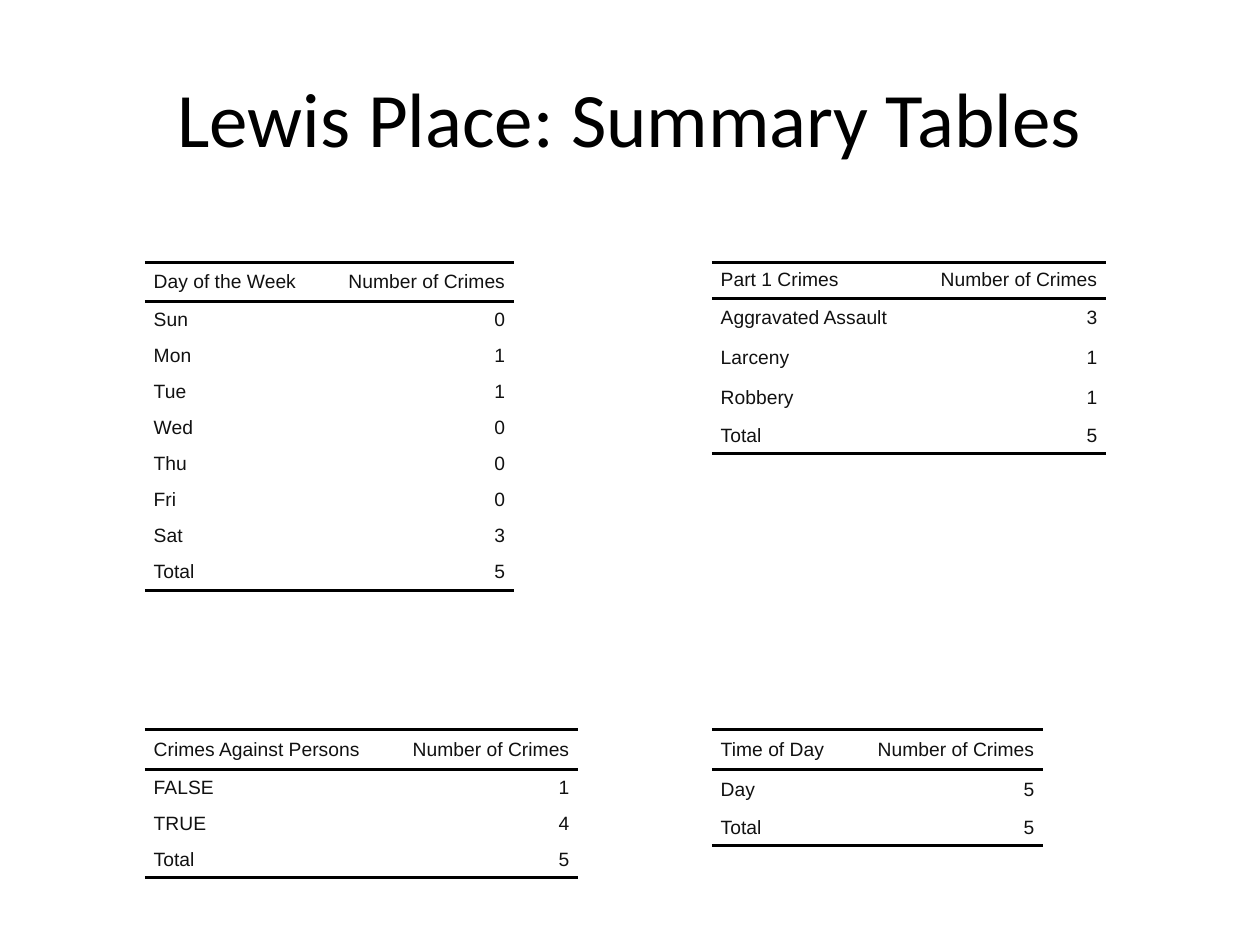
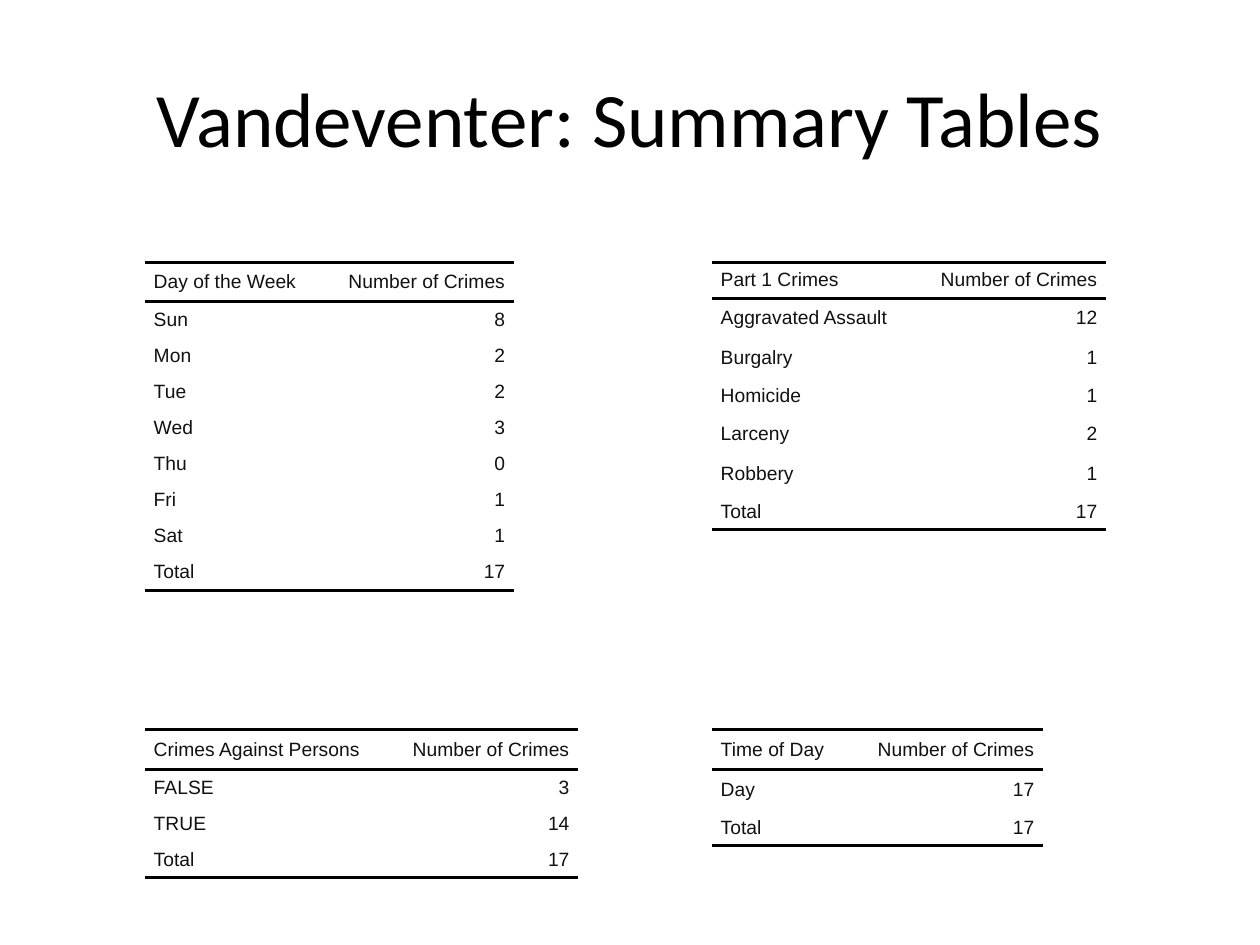
from dataclasses import dataclass

from lxml import etree
from pptx import Presentation
from pptx.dml.color import RGBColor
from pptx.enum.text import MSO_ANCHOR, PP_ALIGN
from pptx.oxml.ns import qn
from pptx.util import Inches, Pt

LEFT, CENTER, RIGHT = PP_ALIGN.LEFT, PP_ALIGN.CENTER, PP_ALIGN.RIGHT
MIDDLE = MSO_ANCHOR.MIDDLE
TITLE_ONLY_LAYOUT = 5
PLAIN_TABLE_STYLE = "{2D5ABB26-0587-4C30-8999-92F81FD0307C}"


@dataclass(frozen=True)
class Theme:
    title_font: str = "Calibri"
    title_size: int = 44
    title_color: str = "000000"
    table_font: str = "Arial"
    table_size: int = 11
    table_color: str = "111111"
    rule_color: str = "000000"
    rule_width: int = 2
    paragraph_gap: int = 2


THEME = Theme()

# Table positions and column widths in inches, row heights in points
GRID_LEFT, GRID_TOP = 1.15, 2.08
GRID_COLUMN_STEP, GRID_ROW_STEP = 4.5, 3.71
COUNT_WIDTH = 1.52
CELL_INDENT = 0.07
ROW_HEIGHTS = {"T": 22.8, "S": 20.6}  # tall and short rows


@dataclass(frozen=True)
class Category:
    """Heading, grid cell and label width of one kind of summary table."""
    heading: str
    column: int
    row: int
    label_width: float


PART_1 = Category("Part 1 Crimes", 1, 0, 1.61)
WEEKDAY = Category("Day of the Week", 0, 0, 1.41)
PERSONS = Category("Crimes Against Persons", 0, 1, 1.92)
TIME_OF_DAY = Category("Time of Day", 1, 1, 1.11)

DAYS = ("Sun", "Mon", "Tue", "Wed", "Thu", "Fri", "Sat")
WEEKDAY_ROWS, PERSONS_ROWS, TIME_ROWS = "TSSSSSSSS", "TSSS", "TTS"

# Neighbourhood: (category, row heights, crime counts)
NEIGHBOURHOODS = {
    "Lewis Place": (
        (PART_1, "STTTS", {"Aggravated Assault": 3, "Larceny": 1, "Robbery": 1}),
        (WEEKDAY, WEEKDAY_ROWS, dict(zip(DAYS, (0, 1, 1, 0, 0, 0, 3)))),
        (PERSONS, PERSONS_ROWS, {"FALSE": 1, "TRUE": 4}),
        (TIME_OF_DAY, TIME_ROWS, {"Day": 5}),
    ),
    "Vandeventer": (
        (PART_1, "STTSTTS", {"Aggravated Assault": 12, "Burgalry": 1, "Homicide": 1,
                             "Larceny": 2, "Robbery": 1}),
        (WEEKDAY, WEEKDAY_ROWS, dict(zip(DAYS, (8, 2, 2, 3, 0, 1, 1)))),
        (PERSONS, PERSONS_ROWS, {"FALSE": 3, "TRUE": 14}),
        (TIME_OF_DAY, TIME_ROWS, {"Day": 17}),
    ),
}


def format_runs(paragraph, font_name, size, color):
    for run in paragraph.runs:
        run.font.name = font_name
        run.font.size = Pt(size)
        run.font.color.rgb = RGBColor.from_string(color)


def add_title(slide, text):
    text_frame = slide.shapes.title.text_frame
    text_frame.text = text
    text_frame.vertical_anchor = MIDDLE
    paragraph = text_frame.paragraphs[0]
    paragraph.alignment = CENTER
    format_runs(paragraph, THEME.title_font, THEME.title_size, THEME.title_color)


def add_rule(cell, edge):
    """Draw a horizontal line on the cell's edge, "lnT" or "lnB"."""
    line = etree.SubElement(cell._tc.get_or_add_tcPr(), qn(f"a:{edge}"),
                            w=str(Pt(THEME.rule_width)))
    fill = etree.SubElement(line, qn("a:solidFill"))
    etree.SubElement(fill, qn("a:srgbClr"), val=THEME.rule_color)


def fill_cell(cell, text, alignment, edges):
    for edge in edges:
        add_rule(cell, edge)
    cell.fill.background()
    cell.vertical_anchor = MIDDLE
    cell.margin_left = cell.margin_right = cell.margin_top = cell.margin_bottom = 0
    cell.text_frame.text = text
    paragraph = cell.text_frame.paragraphs[0]
    paragraph.alignment = alignment
    paragraph.space_before = paragraph.space_after = Pt(THEME.paragraph_gap)
    properties = paragraph._p.get_or_add_pPr()
    for side in ("marL", "marR"):
        properties.set(side, str(Inches(CELL_INDENT)))
    properties.set("indent", "0")
    format_runs(paragraph, THEME.table_font, THEME.table_size, THEME.table_color)


def add_summary_table(slide, category, row_pattern, counts):
    rows = [(category.heading, "Number of Crimes"), *counts.items(),
            ("Total", sum(counts.values()))]
    widths = [Inches(category.label_width), Inches(COUNT_WIDTH)]
    heights = [Pt(ROW_HEIGHTS[kind]) for kind in row_pattern]
    table = slide.shapes.add_table(
        len(rows), len(widths),
        Inches(GRID_LEFT + category.column * GRID_COLUMN_STEP),
        Inches(GRID_TOP + category.row * GRID_ROW_STEP),
        sum(widths), sum(heights)).table
    table.first_row = table.horz_banding = False
    table._tbl.tblPr.find(qn("a:tableStyleId")).text = PLAIN_TABLE_STYLE
    for column, width in zip(table.columns, widths):
        column.width = width

    edges_by_row = {0: ("lnT", "lnB"), len(rows) - 1: ("lnB",)}
    for index, (values, height) in enumerate(zip(rows, heights)):
        table.rows[index].height = height
        for column, alignment in enumerate((LEFT, RIGHT)):
            fill_cell(table.cell(index, column), str(values[column]), alignment,
                      edges_by_row.get(index, ()))


def main():
    presentation = Presentation()
    presentation.slide_width, presentation.slide_height = Inches(10), Inches(7.5)
    for name, summaries in NEIGHBOURHOODS.items():
        slide = presentation.slides.add_slide(
            presentation.slide_layouts[TITLE_ONLY_LAYOUT])
        add_title(slide, f"{name}: Summary Tables")
        for category, row_pattern, counts in summaries:
            add_summary_table(slide, category, row_pattern, counts)
    presentation.save("out.pptx")


if __name__ == "__main__":
    main()
